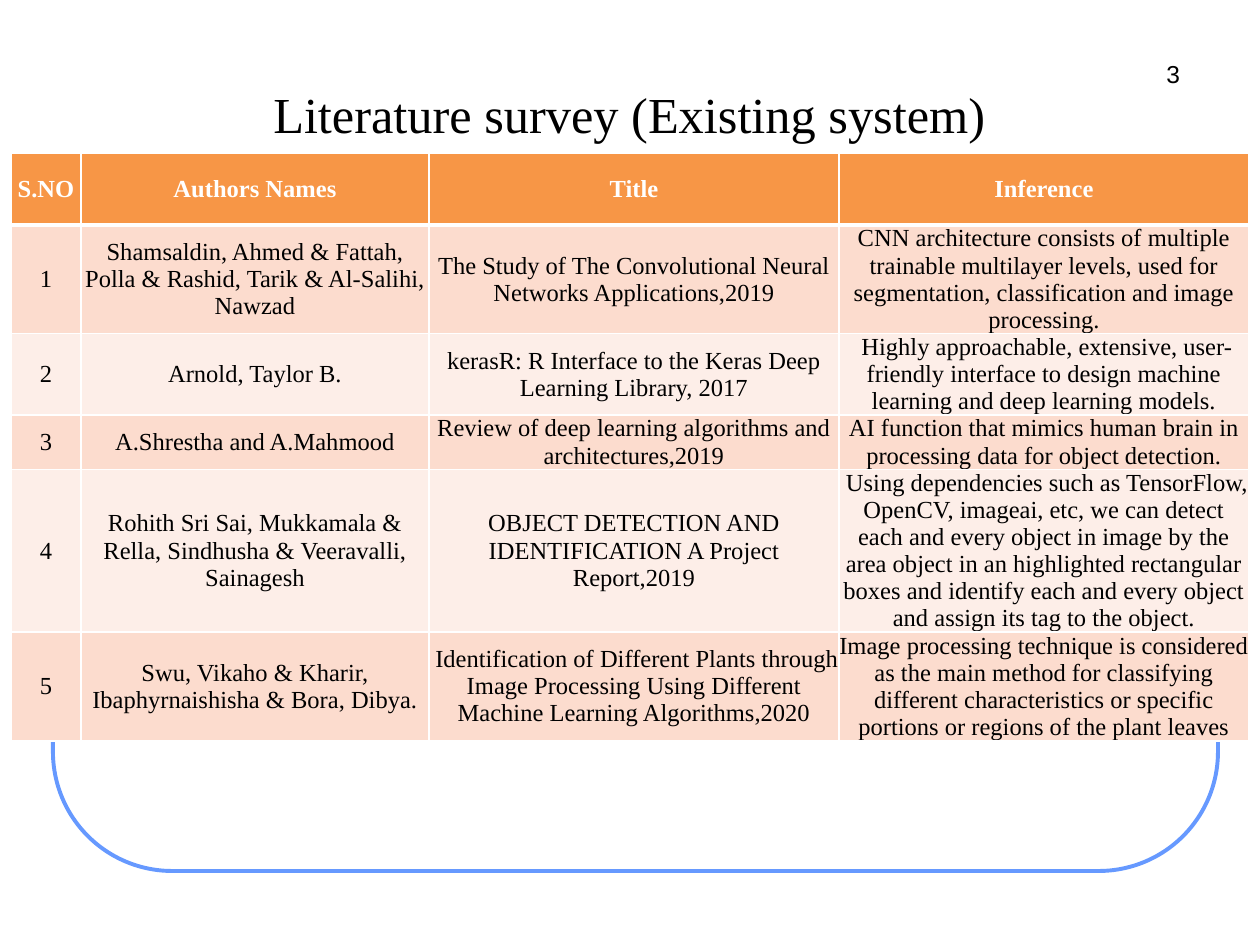
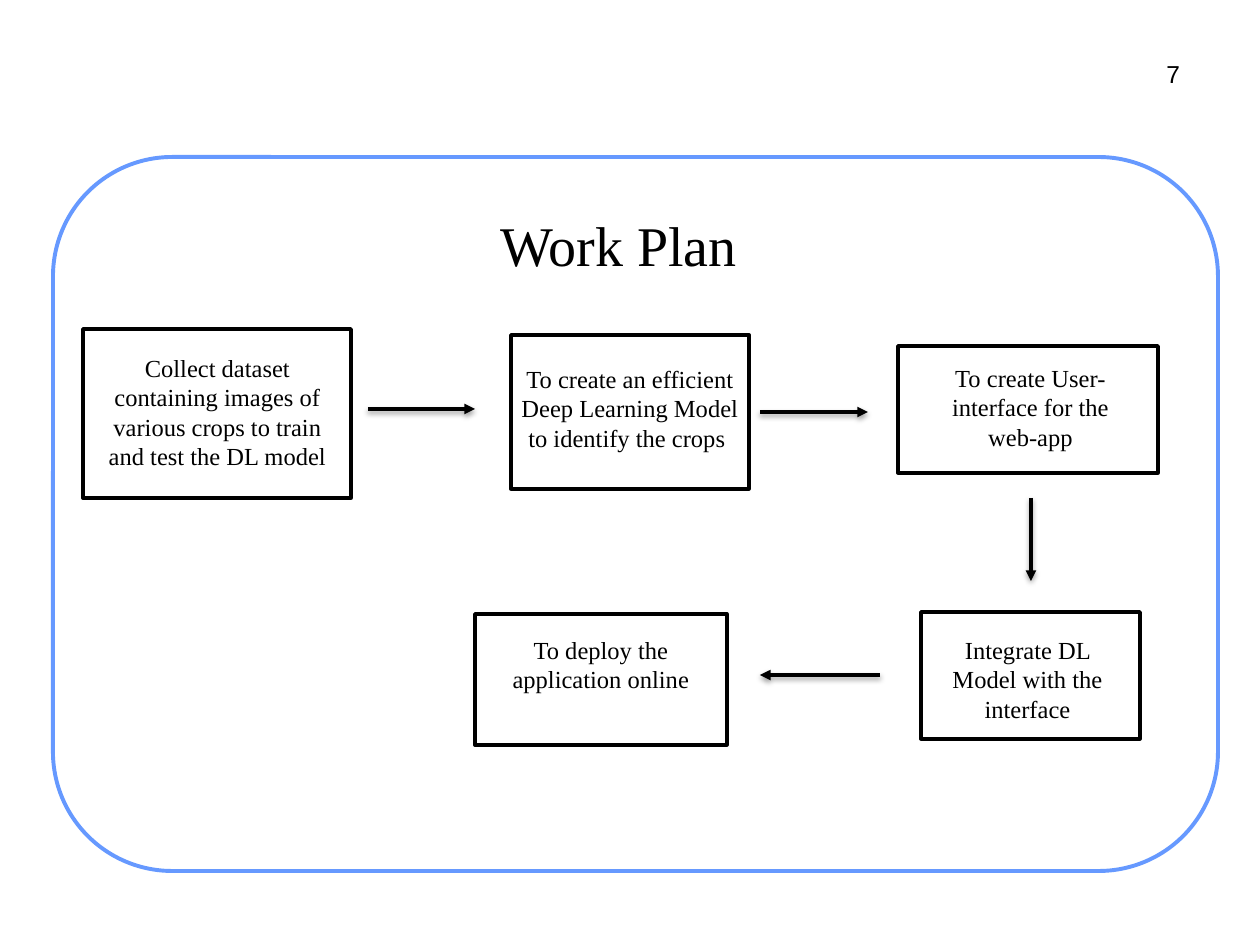
"""Build a literature survey slide and a work plan slide."""
from lxml import etree
from pptx import Presentation
from pptx import util as u
from pptx.dml.color import RGBColor
from pptx.enum import shapes, text
from pptx.oxml import ns

SCALE = 914400 / 126
SERIF, SANS = "Times New Roman", "Arial"
COL = {
    "black": "000000", "white": "FFFFFF", "frame": "6699FF",
    "head": "F79646", "odd": "FCDCCE", "even": "FDEEE8",
}
RGB = {name: RGBColor.from_string(code) for name, code in COL.items()}


def px(*nums):
    return [u.Emu(round(n * SCALE)) for n in nums]


def write(frame, words, size=14, font=SERIF, color="black", bold=False,
          align=text.PP_ALIGN.CENTER, space=None, inset=6):
    frame.text = words
    frame.margin_left, frame.margin_top = px(inset, inset)
    frame.margin_right, frame.margin_bottom = px(inset, inset)
    for para in frame.paragraphs:
        para.alignment = align
        para.line_spacing = space
        para.font.size = u.Pt(size)
        para.font.name = font
        para.font.bold = bold
        para.font.color.rgb = RGB[color]


prs = Presentation()
prs.slide_width, prs.slide_height = px(1260, 945)
layout = prs.slide_layouts[5]

heads = [
    ("Literature survey (Existing system)", 28.8, (157, 87, 945, 53), "3"),
    ("Work Plan ", 32, (117, 183, 1017, 123), "7"),
]
pages = []
for name, size, box, num in heads:
    page = prs.slides.add_slide(layout)
    title = page.shapes.title
    title.left, title.top, title.width, title.height = px(*box)
    write(title.text_frame, name, size)
    title.text_frame.auto_size = text.MSO_AUTO_SIZE.NONE
    title.text_frame.vertical_anchor = text.MSO_ANCHOR.MIDDLE
    label = page.shapes.add_textbox(*px(1159, 53, 27, 42))
    label.text_frame.word_wrap = False
    write(label.text_frame, num, font=SANS, align=text.PP_ALIGN.RIGHT)
    pages.append(page)
survey, plan = pages

frame = plan.shapes.add_shape(
    shapes.MSO_SHAPE.ROUNDED_RECTANGLE, *px(53, 157, 1165, 714))
frame.adjustments[0] = 0.167
frame.shadow.inherit = False
frame.fill.solid()
frame.fill.fore_color.rgb = RGB["white"]
frame.line.color.rgb = RGB["frame"]
frame.line.width = u.Pt(2.25)
layout.shapes.element.append(frame.element)

rows = [
    ("S.NO", "Authors Names", "Title", "Inference"),
    ("1", "Shamsaldin, Ahmed & Fattah, Polla & Rashid, Tarik & Al-Salihi, Nawzad",
     "The Study of The Convolutional Neural Networks Applications,2019",
     "CNN architecture consists of multiple trainable multilayer levels, "
     "used for segmentation, classification and image processing."),
    ("2", "Arnold, Taylor B.",
     "kerasR: R Interface to the Keras Deep Learning Library, 2017",
     " Highly approachable, extensive, user-friendly interface to design "
     "machine learning and deep learning models."),
    ("3", "A.Shrestha and A.Mahmood",
     "Review of deep learning algorithms and architectures,2019",
     "AI function that mimics human brain in processing data for object detection."),
    ("4", "Rohith Sri Sai, Mukkamala & Rella, Sindhusha & Veeravalli, Sainagesh",
     "OBJECT DETECTION AND IDENTIFICATION A Project Report,2019",
     " Using dependencies such as TensorFlow, OpenCV, imageai, etc, we can "
     "detect each and every object in image by the area object in an "
     "highlighted rectangular boxes and identify each and every object and "
     "assign its tag to the object."),
    ("5", "Swu, Vikaho & Kharir, Ibaphyrnaishisha & Bora, Dibya.",
     " Identification of Different Plants through Image Processing Using "
     "Different Machine Learning Algorithms,2020",
     "Image processing technique is considered as the main method for "
     "classifying different characteristics or specific portions or regions "
     "of the plant leaves"),
]
wide = (70, 348, 410, 410)
high = (72, 108, 81, 54, 162, 108)
table = survey.shapes.add_table(
    len(rows), len(wide), *px(11, 153, sum(wide), sum(high))).table
table.horz_banding = False
for col, width in zip(table.columns, px(*wide)):
    col.width = width
for row, height in zip(table.rows, px(*high)):
    row.height = height
for i, row in enumerate(rows):
    fill = "head" if i == 0 else "odd" if i % 2 else "even"
    for j, words in enumerate(row):
        cell = table.cell(i, j)
        write(cell.text_frame, words, color="black" if i else "white",
              bold=i == 0, space=u.Pt(15.5), inset=0)
        cell.margin_left = cell.margin_right = 0
        cell.margin_top = cell.margin_bottom = 0
        cell.vertical_anchor = text.MSO_ANCHOR.MIDDLE
        cell.fill.solid()
        cell.fill.fore_color.rgb = RGB[fill]
        props = cell._tc.get_or_add_tcPr()
        for k, side in enumerate("LRTB"):
            thick = 3 if (i, side) in ((0, "B"), (1, "T")) else 1
            edge = etree.Element(ns.qn(f"a:ln{side}"), w=str(u.Pt(thick)))
            paint = etree.SubElement(edge, ns.qn("a:solidFill"))
            etree.SubElement(paint, ns.qn("a:srgbClr"), val=COL["white"])
            props.insert(k, edge)

steps = [
    ("Collect dataset containing images of various crops to train and test "
     "the DL model", (83, 329, 268, 169), (90, 347, 255, 161)),
    ("To create an efficient Deep Learning Model\nto identify the crops ",
     (511, 335, 238, 154), (504, 358, 252, 102)),
    ("To create User-interface for the web-app",
     (898, 346, 260, 127), (932, 357, 197, 131)),
    ("Integrate DL Model with the interface",
     (921, 612, 219, 127), (924, 629, 207, 131)),
    ("To deploy the application online",
     (475, 614, 252, 131), (494, 629, 214, 102)),
]
for words, box, area in steps:
    rect = plan.shapes.add_shape(shapes.MSO_SHAPE.RECTANGLE, *px(*box))
    rect.shadow.inherit = False
    rect.fill.solid()
    rect.fill.fore_color.rgb = RGB["white"]
    rect.line.color.rgb = RGB["black"]
    rect.line.width = u.Pt(2)
    note = plan.shapes.add_textbox(*px(*area))
    note.text_frame.word_wrap = True
    write(note.text_frame, words, space=u.Pt(16.8))

arrows = [
    (368, 409, 475, 409), (760, 412, 868, 412),
    (1031, 498, 1031, 581), (880, 675, 760, 675),
]
for ends in arrows:
    line = plan.shapes.add_connector(shapes.MSO_CONNECTOR.STRAIGHT, *px(*ends))
    line.line.color.rgb = RGB["black"]
    line.line.width = u.Pt(2)
    props = line.element.spPr
    etree.SubElement(props.find(ns.qn("a:ln")), ns.qn("a:tailEnd"), type="triangle")
    glow = etree.SubElement(props, ns.qn("a:effectLst"))
    shade = etree.SubElement(
        glow, ns.qn("a:outerShdw"), blurRad=str(u.Pt(3)), dist=str(u.Pt(1.6)),
        dir="5400000", rotWithShape="0")
    tint = etree.SubElement(shade, ns.qn("a:srgbClr"), val=COL["black"])
    etree.SubElement(tint, ns.qn("a:alpha"), val="38000")

prs.save("out.pptx")
